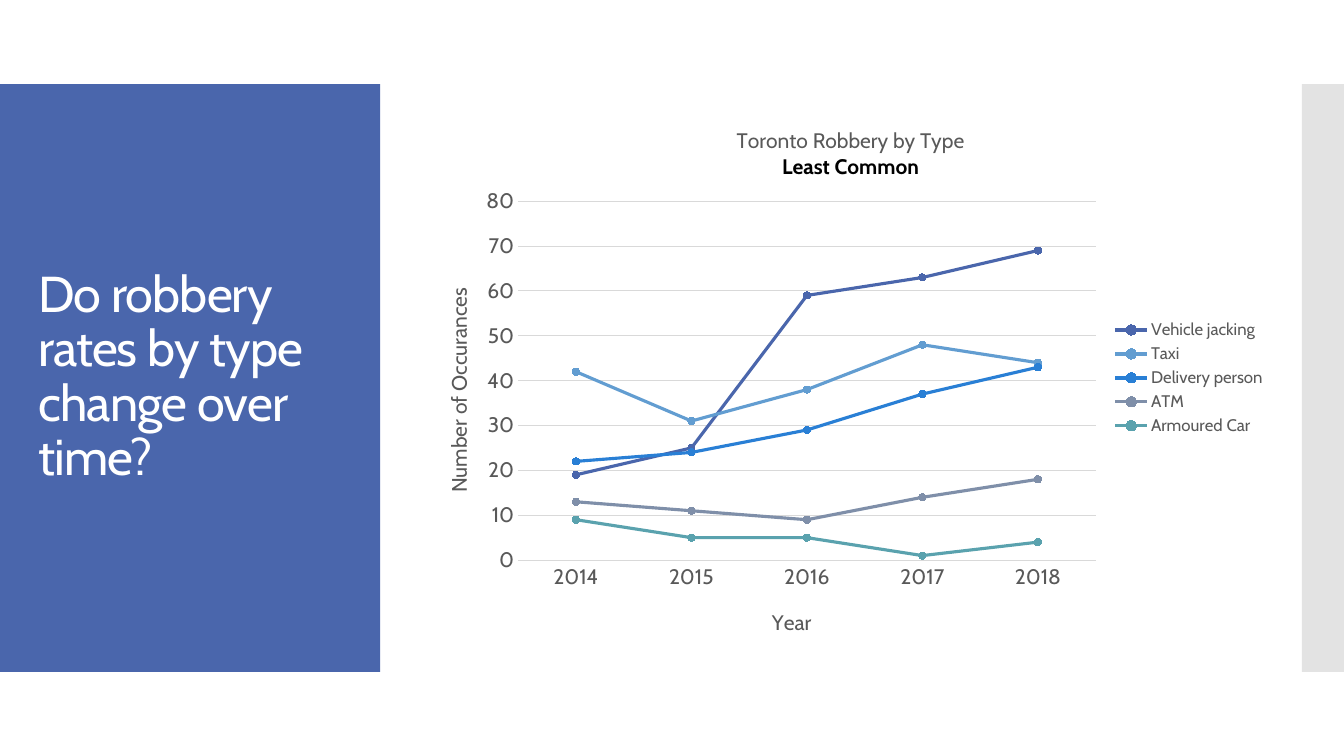
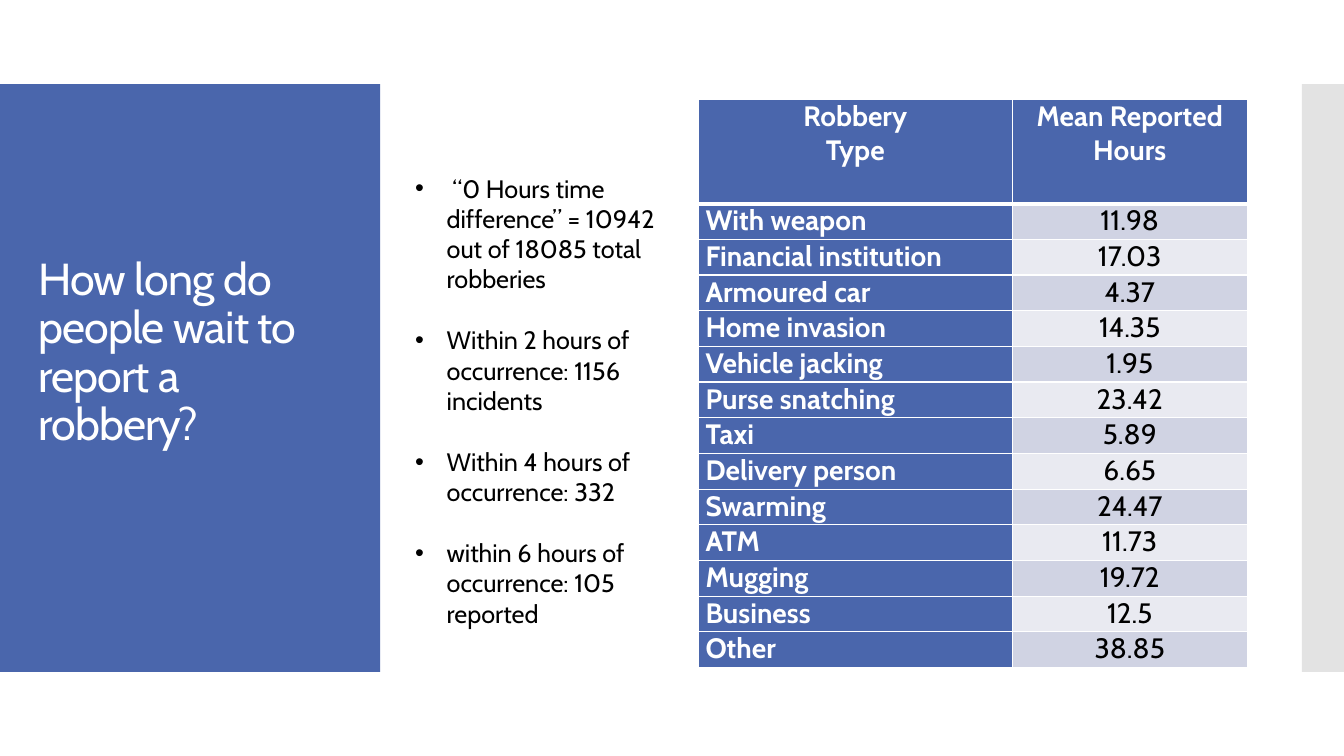
from dataclasses import dataclass

from pptx import Presentation
from pptx.chart.data import CategoryChartData
from pptx.dml.color import RGBColor as RGB
from pptx.enum.chart import (XL_CHART_TYPE as ChartType, XL_LEGEND_POSITION as LegendPos,
                             XL_MARKER_STYLE as Marker, XL_TICK_MARK as Tick)
from pptx.enum.shapes import MSO_SHAPE as Shape
from pptx.enum.text import MSO_ANCHOR as Anchor, PP_ALIGN as Align
from pptx.oxml.ns import qn
from pptx.oxml.xmlchemy import OxmlElement
from pptx.util import Pt

EMU_PER_PX = 9525


@dataclass(frozen=True)
class Theme:
    font: str = "Cabin"
    blue: str = "4A66AC"
    edge: str = "C8C8C8"
    white: str = "FFFFFF"
    black: str = "000000"
    grey: str = "595959"
    grid: str = "D9D9D9"
    bands: tuple = ("D0D3E3", "E9EAF1")
    series: tuple = ("4A66AC", "629DD1", "297FD5", "7F8FA9", "5AA2AE")
    title_size: int = 36
    small_title_size: int = 32
    table_size: int = 20
    body_size: int = 18
    axis_size: int = 15
    legend_size: int = 12


THEME = Theme()

YEARS = ["2014", "2015", "2016", "2017", "2018"]
ROBBERIES = {
    "Vehicle jacking": [19, 25, 59, 63, 69],
    "Taxi": [42, 31, 38, 48, 44],
    "Delivery person": [22, 24, 29, 37, 43],
    "ATM": [13, 11, 9, 14, 18],
    "Armoured Car": [9, 5, 5, 1, 4],
}
REPORT_HEADER = ["Robbery\nType", "Mean Reported Hours"]
REPORT_HOURS = [
    ("With weapon", "11.98"),
    ("Financial institution", "17.03"),
    ("Armoured car", "4.37"),
    ("Home invasion", "14.35"),
    ("Vehicle jacking", "1.95"),
    ("Purse snatching", "23.42"),
    ("Taxi", "5.89"),
    ("Delivery person", "6.65"),
    ("Swarming", "24.47"),
    ("ATM", "11.73"),
    ("Mugging", "19.72"),
    ("Business", "12.5"),
    ("Other", "38.85"),
]
REPORT_DELAYS = [
    " “0 Hours time difference” = 10942 out of 18085 total robberies",
    "Within 2 hours of occurrence: 1156 incidents",
    "Within 4 hours of occurrence: 332",
    "within 6 hours of occurrence: 105 reported",
]


def px(*lengths):
    emu = [length * EMU_PER_PX for length in lengths]
    return emu[0] if len(emu) == 1 else emu


def style_font(font, size, color, bold=False):
    font.name = THEME.font
    font.size = Pt(size)
    font.bold = bold
    font.color.rgb = RGB.from_string(color)


def paint(fill, color):
    fill.solid()
    fill.fore_color.rgb = RGB.from_string(color)


def draw_line(line, color, width):
    paint(line.fill, color)
    line.width = Pt(width)


def add_child(parent, tag, **attributes):
    child = OxmlElement(tag)
    for name, value in attributes.items():
        child.set(name, str(value))
    parent.append(child)
    return child


def add_band(s, left, width, color, opacity=100):
    """Add a vertical band, with its opacity in percent."""
    sp = s.shapes.add_shape(Shape.RECTANGLE, *px(left, 80, width, 560))
    sp.shadow.inherit = False
    sp.line.fill.background()
    paint(sp.fill, color)
    if opacity < 100:
        add_child(sp.element.find(".//" + qn("a:srgbClr")), "a:alpha", val=opacity * 1000)


def add_text_box(s, *box):
    tf = s.shapes.add_textbox(*px(*box)).text_frame
    tf.word_wrap = True
    return tf


def add_titled_slide(prs, title, size, lift=0):
    """Add a slide with both bands and a title; lift widens the bottom margin."""
    s = prs.slides.add_slide(prs.slide_layouts[6])
    add_band(s, 0, 362, THEME.blue)
    add_band(s, 1240, 40, THEME.edge, opacity=50)
    tf = add_text_box(s, 27, 118, 309, 483)
    tf.vertical_anchor = Anchor.MIDDLE
    tf.margin_bottom += px(lift)
    tf.text = title
    p = tf.paragraphs[0]
    p.line_spacing = 0.9
    style_font(p.runs[0].font, size, THEME.white)
    p.runs[0].font.element.set("spc", "-60") if hasattr(p.runs[0].font, "element") \
        else p.runs[0]._r.get_or_add_rPr().set("spc", "-60")
    return s


def place(element, target=None, **fractions):
    """Fix a chart part at fractions of the chart's width and height."""
    layout = element.find(qn("c:layout"))
    if layout is None:
        layout = OxmlElement("c:layout")
        element.insert(len(element.findall(qn("c:tx"))), layout)
    manual = add_child(layout, "c:manualLayout")
    if target:
        add_child(manual, "c:layoutTarget", val=target)
    for mode in ("xMode", "yMode"):
        add_child(manual, f"c:{mode}", val="edge")
    for name, value in fractions.items():
        add_child(manual, f"c:{name}", val=value)


def set_chart_title(title, text, x, y):
    tf = title.text_frame
    tf.text = text
    for p in tf.paragraphs:
        style_font(p.runs[0].font, THEME.axis_size, THEME.grey)
    place(title.element, x=x, y=y)
    return tf


def style_axis(axis):
    axis.major_tick_mark = axis.minor_tick_mark = Tick.NONE
    style_font(axis.tick_labels.font, THEME.axis_size, THEME.grey)


def style_series(series, color):
    series.smooth = False
    draw_line(series.format.line, color, 2.25)
    series.marker.style = Marker.CIRCLE
    series.marker.size = 5
    paint(series.marker.format.fill, color)
    draw_line(series.marker.format.line, color, 0.75)


def add_robbery_chart(s):
    data = CategoryChartData()
    data.categories = YEARS
    for name, values in ROBBERIES.items():
        data.add_series(name, values)
    chart = s.shapes.add_chart(ChartType.LINE_MARKERS, *px(395, 97, 821, 526), data).chart
    style_font(chart.font, THEME.legend_size, THEME.grey)
    place(chart.element.find(".//" + qn("c:plotArea")), "inner", x=0.12, y=0.18, w=0.67, h=0.65)

    tf = set_chart_title(chart.chart_title, "Toronto Robbery by Type\nLeast Common", 0.37, 0.04)
    style_font(tf.paragraphs[1].runs[0].font, THEME.axis_size, THEME.black, bold=True)

    years, counts = chart.category_axis, chart.value_axis
    for axis in (years, counts):
        style_axis(axis)
    draw_line(years.format.line, THEME.grid, 0.75)
    set_chart_title(years.axis_title, "Year", 0.41, 0.91)
    counts.minimum_scale, counts.maximum_scale, counts.major_unit = 0, 80, 10
    counts.format.line.fill.background()
    draw_line(counts.major_gridlines.format.line, THEME.grid, 0.75)
    set_chart_title(counts.axis_title, "Number of Occurances", 0.03, 0.33)
    counts.axis_title.element.find(".//" + qn("a:bodyPr")).set("rot", "-5400000")

    chart.has_legend = True
    chart.legend.position = LegendPos.RIGHT
    chart.legend.include_in_layout = False
    style_font(chart.legend.font, THEME.legend_size, THEME.grey)
    chart.plots[0].vary_by_categories = False
    for series, color in zip(chart.plots[0].series, THEME.series):
        style_series(series, color)


def add_borders(cell, **widths):
    """Draw white cell borders; widths are points for the sides L, R, T and B."""
    tcPr = cell._tc.get_or_add_tcPr()
    for side, width in widths.items():
        ln = add_child(tcPr, f"a:ln{side}", w=Pt(width))
        add_child(add_child(ln, "a:solidFill"), "a:srgbClr", val=THEME.white)


def fill_cell(cell, text, fill, color, bold, align, top=1, bottom=1):
    cell.margin_left = cell.margin_right = px(7)
    cell.margin_top = cell.margin_bottom = 0
    add_borders(cell, L=1, R=1, T=top, B=bottom)
    paint(cell.fill, fill)
    cell.text = text
    for p in cell.text_frame.paragraphs:
        p.alignment = align
        style_font(p.runs[0].font, THEME.table_size, color, bold)


def add_report_table(s):
    widths, header_height, row_height = (299, 224), 99, 34
    count = len(REPORT_HOURS)
    box = px(665, 95, sum(widths), header_height + count * row_height)
    table = s.shapes.add_table(count + 1, len(widths), *box).table
    table.first_row = table.horz_banding = False
    for column, width in zip(table.columns, widths):
        column.width = px(width)
    for i, row in enumerate(table.rows):
        row.height = px(row_height if i else header_height)
    for cell, text in zip(table.rows[0].cells, REPORT_HEADER):
        fill_cell(cell, text, THEME.blue, THEME.white, True, Align.CENTER, bottom=3)
    for i, (kind, hours) in enumerate(REPORT_HOURS):
        top = 1 if i else 3
        fill_cell(table.cell(i + 1, 0), kind, THEME.blue, THEME.white, True, Align.LEFT, top)
        fill_cell(table.cell(i + 1, 1), hours, THEME.bands[i % 2], THEME.black, False,
                  Align.CENTER, top)


def add_bullets(s, items):
    tf = add_text_box(s, 386, 160, 279, 475)
    tf.text = "\n".join(items)
    for p in tf.paragraphs:
        p.space_after = Pt(22)
        style_font(p.runs[0].font, THEME.body_size, THEME.black)
        pPr = p._p.get_or_add_pPr()
        pPr.set("marL", str(px(30)))
        pPr.set("indent", str(px(-30)))
        add_child(pPr, "a:buFont", typeface="Arial")
        add_child(pPr, "a:buChar", char="•")


def main():
    prs = Presentation()
    prs.slide_width, prs.slide_height = px(1280, 720)

    s = add_titled_slide(prs, "Do robbery rates by type change over time?", THEME.title_size)
    add_robbery_chart(s)

    s = add_titled_slide(prs, "How long do people wait to report a robbery?",
                         THEME.small_title_size, lift=46)
    add_report_table(s)
    add_bullets(s, REPORT_DELAYS)

    prs.save("out.pptx")


if __name__ == "__main__":
    main()
